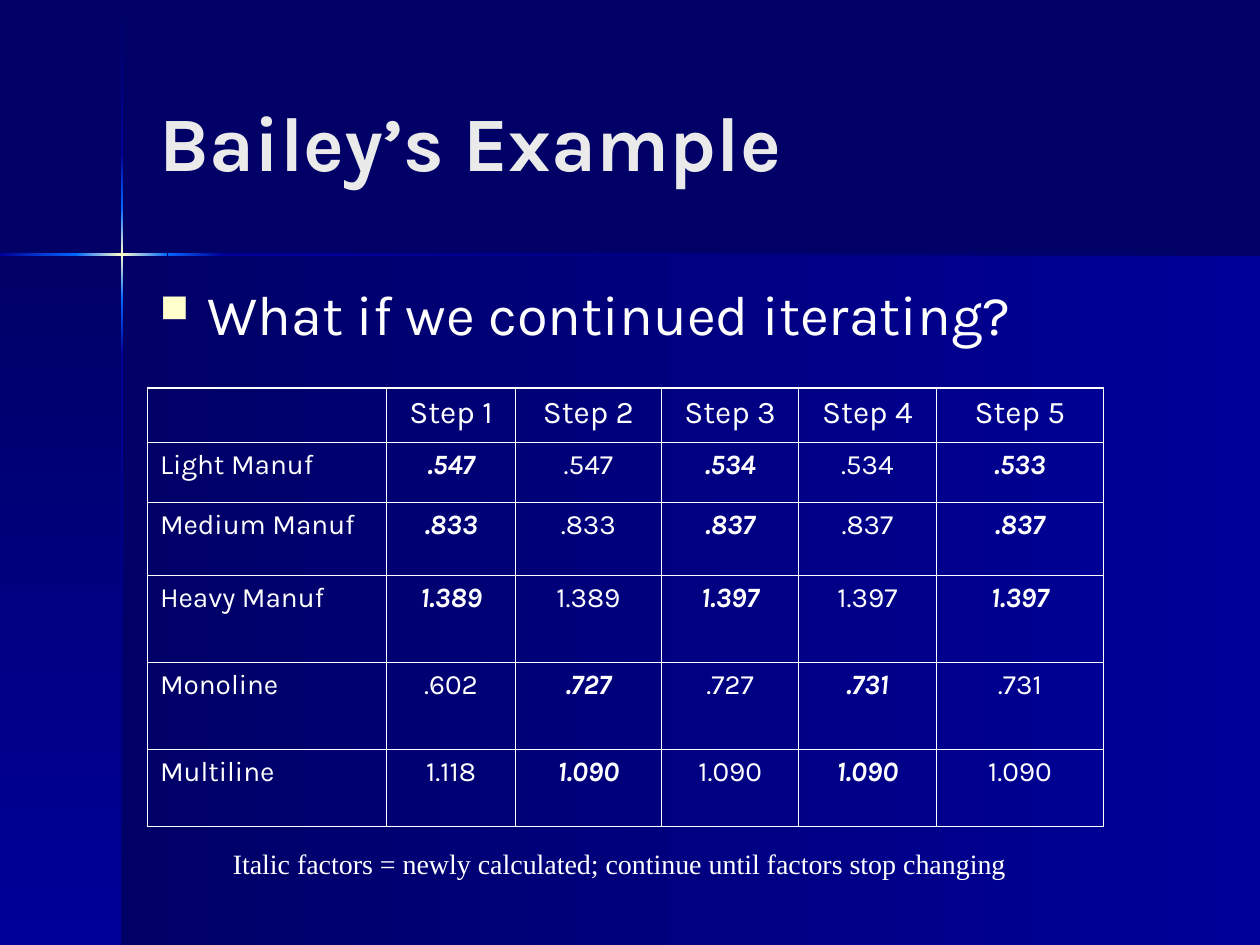
from dataclasses import dataclass
from itertools import pairwise

from lxml import etree
from pptx import Presentation
from pptx.dml.color import RGBColor
from pptx.enum.shapes import MSO_SHAPE
from pptx.enum.text import MSO_ANCHOR, MSO_AUTO_SIZE, PP_ALIGN
from pptx.oxml.ns import qn
from pptx.util import Inches, Pt

RECTANGLE = MSO_SHAPE.RECTANGLE
MIDDLE, TOP = MSO_ANCHOR.MIDDLE, MSO_ANCHOR.TOP
GROW = MSO_AUTO_SIZE.SHAPE_TO_FIT_TEXT
LEFT, CENTER = PP_ALIGN.LEFT, PP_ALIGN.CENTER


@dataclass(frozen=True)
class Theme:
    night: str = "000066"
    panel: str = "000099"
    beam: str = "0066FF"
    glow: str = "FFFFCC"
    heading: str = "EAEAEA"
    text: str = "FFFFFF"
    font: str = "Karla"
    note_font: str = "Times New Roman"
    title_size: float = 44
    body_size: float = 32
    header_size: float = 18
    cell_size: float = 16
    note_size: float = 16
    outer_line: float = 1.08
    inner_line: float = 0.45


THEME = Theme()
RIGHTWARD, DOWNWARD = 0, 90
BEAM_X, BEAM_Y, BEAM_WIDTH = 0.97, 2.02, 0.02
BEAM_COLORS = [
    (THEME.night, THEME.panel),
    (THEME.panel, THEME.beam),
    (THEME.beam, THEME.glow, THEME.beam),
    (THEME.beam, THEME.panel),
    (THEME.panel, THEME.night),
]
COLUMN_WIDTHS = [1.9, 1.02, 1.16, 1.09, 1.09, 1.33]
ROW_HEIGHTS = [0.43, 0.48, 0.58, 0.69, 0.69, 0.61]
FACTORS = [
    ("Light Manuf", ".547", ".547", ".534", ".534", ".533"),
    ("Medium Manuf", ".833", ".833", ".837", ".837", ".837"),
    ("Heavy Manuf", "1.389", "1.389", "1.397", "1.397", "1.397"),
    ("Monoline", ".602", ".727", ".727", ".731", ".731"),
    ("Multiline", "1.118", "1.090", "1.090", "1.090", "1.090"),
]
MANUF_ROWS = 3


def add_gradient(slide, box, colors, angle):
    band = slide.shapes.add_shape(RECTANGLE, *map(Inches, box))
    band.shadow.inherit = False
    band.line.fill.background()
    band.fill.gradient()
    band.fill.gradient_angle = -angle % 360
    stops = band.fill._xPr.find(qn("a:gradFill")).find(qn("a:gsLst"))
    stops.clear()
    for index, color in enumerate(colors):
        position = 100000 * index // (len(colors) - 1)
        stop = etree.SubElement(stops, qn("a:gs"), pos=str(position))
        etree.SubElement(stop, qn("a:srgbClr"), val=color)


def add_backdrop(slide):
    background = slide.background.fill
    background.solid()
    background.fore_color.rgb = RGBColor.from_string(THEME.night)
    height = 7.5 - BEAM_Y
    shades = (THEME.night, THEME.panel)
    add_gradient(slide, (BEAM_X, BEAM_Y, 10 - BEAM_X, height), shades, RIGHTWARD)
    add_gradient(slide, (0, BEAM_Y, BEAM_X, height), shades, DOWNWARD)

    left, top = BEAM_X - BEAM_WIDTH / 2, BEAM_Y - BEAM_WIDTH / 2
    vertical = pairwise([0.01, 1.21, 1.65, 2.38, 2.82, 7.5])
    for (start, end), colors in zip(vertical, BEAM_COLORS):
        add_gradient(slide, (left, start, BEAM_WIDTH, end - start), colors, DOWNWARD)
    horizontal = pairwise([0, 0.6, 1.33, 1.77, 10])
    for (start, end), colors in zip(horizontal, BEAM_COLORS[1:]):
        add_gradient(slide, (start, top, end - start, BEAM_WIDTH), colors, RIGHTWARD)


def style_paragraph(paragraph, size, color=THEME.text, font=THEME.font,
                    bold=False, italic=False, before=0, align=LEFT):
    paragraph.alignment = align
    paragraph.space_before = Pt(before)
    paragraph.font.name = font
    paragraph.font.size = Pt(size)
    paragraph.font.bold = bold
    paragraph.font.italic = italic
    paragraph.font.color.rgb = RGBColor.from_string(color)


def add_text(slide, box, text, size, anchor=TOP, **style):
    frame = slide.shapes.add_textbox(*map(Inches, box)).text_frame
    frame.word_wrap = True
    frame.vertical_anchor = anchor
    paragraph = frame.paragraphs[0]
    paragraph.text = text
    style_paragraph(paragraph, size, **style)
    return frame


def add_bullet(paragraph):
    properties = paragraph._p.get_or_add_pPr()
    indent = Inches(0.38)
    properties.set("marL", str(indent))
    properties.set("indent", str(-indent))
    color = etree.Element(qn("a:buClr"))
    etree.SubElement(color, qn("a:srgbClr"), val=THEME.glow)
    size = etree.Element(qn("a:buSzPct"), val="70000")
    mark = etree.Element(qn("a:buChar"), char="■")
    start = len(properties.findall(qn("a:spcBef")))
    properties[start:start] = [color, size, mark]


def set_borders(cell, outer_edges):
    properties = cell._tc.get_or_add_tcPr()
    for index, side in enumerate("LRTB"):
        width = THEME.outer_line if side in outer_edges else THEME.inner_line
        line = etree.Element(qn(f"a:ln{side}"), w=str(Pt(width)))
        fill = etree.SubElement(line, qn("a:solidFill"))
        etree.SubElement(fill, qn("a:srgbClr"), val=THEME.text)
        properties.insert(index, line)


def fill_cell(cell, row, column, text):
    cell.fill.background()
    paragraph = cell.text_frame.paragraphs[0]
    paragraph.text = text
    newly_calculated = (row > 0 and column > 0
                        and (row <= MANUF_ROWS) == (column % 2 == 1))
    size = THEME.cell_size if row else THEME.header_size
    style_paragraph(paragraph, size, bold=newly_calculated, italic=newly_calculated,
                    before=size / 4, align=CENTER if column else LEFT)
    edges = {"L": column == 0, "R": column == len(COLUMN_WIDTHS) - 1,
             "T": row == 0, "B": row == len(ROW_HEIGHTS) - 1}
    set_borders(cell, [side for side, outer in edges.items() if outer])


def add_factor_table(slide):
    header = ["", *(f"Step {step}" for step in range(1, len(COLUMN_WIDTHS)))]
    box = (1.17, 3.08, sum(COLUMN_WIDTHS), sum(ROW_HEIGHTS))
    table = slide.shapes.add_table(len(ROW_HEIGHTS), len(COLUMN_WIDTHS),
                                   *map(Inches, box)).table
    table.first_row = table.horz_banding = False
    for column, width in zip(table.columns, COLUMN_WIDTHS):
        column.width = Inches(width)
    for row, height in zip(table.rows, ROW_HEIGHTS):
        row.height = Inches(height)
    for row, values in enumerate([header, *FACTORS]):
        for column, text in enumerate(values):
            fill_cell(table.cell(row, column), row, column, text)


def main():
    deck = Presentation()
    deck.slide_width, deck.slide_height = Inches(10), Inches(7.5)
    slide = deck.slides.add_slide(deck.slide_layouts[6])
    add_backdrop(slide)
    add_text(slide, (1.17, 0.33, 8.25, 1.57), "Bailey’s Example", THEME.title_size,
             anchor=MIDDLE, color=THEME.heading, bold=True)
    question = add_text(slide, (1.17, 2.17, 8.25, 4.5),
                        "What if we continued iterating?", THEME.body_size, before=8)
    add_bullet(question.paragraphs[0])
    add_factor_table(slide)
    note = add_text(
        slide, (1.75, 6.67, 8, 0.37),
        "Italic factors = newly calculated; continue until factors stop changing",
        THEME.note_size, font=THEME.note_font, before=10)
    note.auto_size = GROW
    deck.save("out.pptx")


if __name__ == "__main__":
    main()
